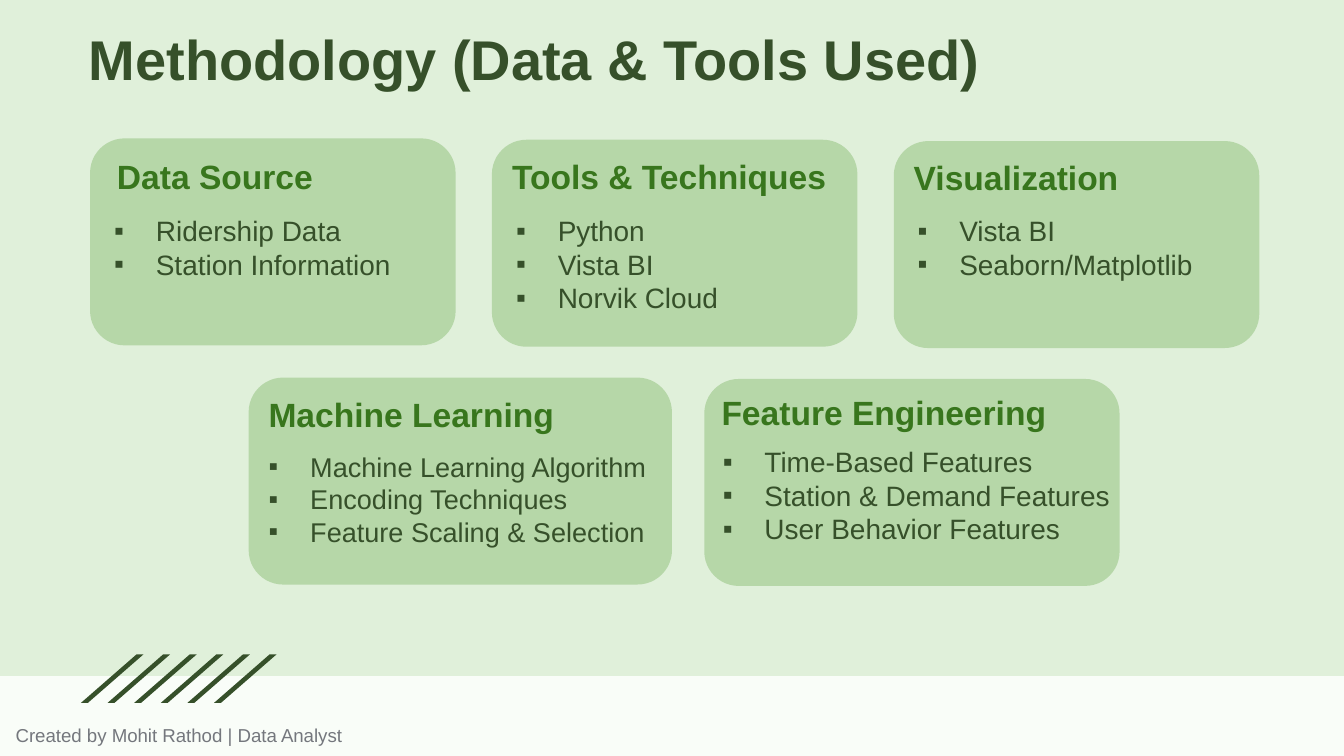
from lxml.etree import SubElement
from pptx import Presentation
from pptx.dml.color import RGBColor
from pptx.enum.shapes import MSO_SHAPE
from pptx.enum.text import MSO_ANCHOR, MSO_AUTO_SIZE, PP_ALIGN
from pptx.oxml.ns import qn
from pptx.util import Inches, Pt

COLORS = {
    "page": "F9FDF8",
    "band": "E0F0DA",
    "card": "B6D7A8",
    "heading": "38761D",
    "dark": "36502A",
    "credit": "74777D",
}
FONT = "Arial"

# card box, heading box, list box, list size, heading, items
CARDS = [
    ((0.67, 1.03, 2.72, 1.54), (0.77, 1.15, 2.63, 0.41), (0.75, 1.49, 2.63, 0.94), 15,
     "Data Source", ["Ridership Data", "Station Information"]),
    ((3.66, 1.04, 2.72, 1.54), (3.71, 1.15, 2.63, 0.41), (3.74, 1.49, 2.63, 0.94), 15,
     "Tools & Techniques", ["Python", "Vista BI", "Norvik Cloud"]),
    ((6.65, 1.05, 2.72, 1.54), (6.7, 1.16, 2.63, 0.41), (6.73, 1.49, 2.63, 0.94), 15,
     "Visualization", ["Vista BI", "Seaborn/Matplotlib"]),
    ((1.85, 2.81, 3.15, 1.54), (1.9, 2.92, 3.04, 0.41), (1.9, 3.25, 3.18, 0.94), 14.5,
     "Machine Learning",
     ["Machine Learning Algorithm", "Encoding Techniques", "Feature Scaling & Selection"]),
    ((5.24, 2.82, 3.09, 1.54), (5.27, 2.91, 3.15, 0.41), (5.28, 3.21, 3.15, 1.07), 15,
     "Feature Engineering",
     ["Time-Based Features", "Station & Demand Features", "User Behavior Features"]),
]


def paint(shape, color):
    shape.shadow.inherit = False
    shape.fill.solid()
    shape.fill.fore_color.rgb = RGBColor.from_string(COLORS[color])
    shape.line.fill.background()


def write(holder, box, lines, size, color, bold=False, anchor=MSO_ANCHOR.TOP,
          align=PP_ALIGN.LEFT, bullets=False):
    """Place a text holder in front and fill it with one paragraph per line."""
    holder.left, holder.top, holder.width, holder.height = map(Inches, box)
    slide.shapes.element.append(holder.element)
    frame = holder.text_frame
    frame.word_wrap = True
    frame.auto_size = MSO_AUTO_SIZE.NONE
    frame.vertical_anchor = anchor
    frame.margin_left = frame.margin_right = Inches(0.1)
    frame.margin_top = frame.margin_bottom = Inches(0.1)
    for index, line in enumerate(lines):
        paragraph = frame.add_paragraph() if index else frame.paragraphs[0]
        paragraph.alignment = align
        paragraph.space_before = Pt(0)
        props = paragraph._p.get_or_add_pPr()
        indent = Inches(0.31) if bullets else 0
        props.set("marL", str(indent))
        props.set("indent", str(-indent))
        if bullets:
            bullet_color = SubElement(props, qn("a:buClr"))
            SubElement(bullet_color, qn("a:srgbClr"), val=COLORS[color])
            SubElement(props, qn("a:buFont"), typeface=FONT)
            SubElement(props, qn("a:buChar"), char="▪")
        else:
            SubElement(props, qn("a:buNone"))
        run = paragraph.add_run()
        run.text = line
        run.font.name = FONT
        run.font.size = Pt(size)
        run.font.bold = bold
        run.font.color.rgb = RGBColor.from_string(COLORS[color])


presentation = Presentation()
presentation.slide_width = Inches(10)
presentation.slide_height = Inches(10) * 9 // 16
comparison_layout = presentation.slide_layouts[4]
slide = presentation.slides.add_slide(comparison_layout)
slide.background.fill.solid()
slide.background.fill.fore_color.rgb = RGBColor.from_string(COLORS["page"])
title, *bodies = slide.placeholders

band = slide.shapes.add_shape(
    MSO_SHAPE.RECTANGLE, *map(Inches, (-0.07, -0.04, 10.12, 5.07)))
paint(band, "band")

write(title, (0.56, 0.08, 8.43, 0.63), ["Methodology (Data & Tools Used)"], 30, "dark", bold=True)

# The layout holds two heading and list pairs; the other cards get text boxes.
for card_box, heading_box, list_box, list_size, heading, items in CARDS:
    card = slide.shapes.add_shape(MSO_SHAPE.ROUNDED_RECTANGLE, *map(Inches, card_box))
    paint(card, "card")
    if bodies:
        heading_holder, list_holder = bodies.pop(0), bodies.pop(0)
    else:
        heading_holder = slide.shapes.add_textbox(*map(Inches, heading_box))
        list_holder = slide.shapes.add_textbox(*map(Inches, list_box))
    write(heading_holder, heading_box, [heading], 18, "heading", bold=True,
          anchor=MSO_ANCHOR.BOTTOM)
    write(list_holder, list_box, items, list_size, "dark", bullets=True)

# Six slanted strokes across the lower edge of the band
for stroke_index in range(6):
    shift = 0.99 / 5 * stroke_index
    corners = [(Inches(x + shift), Inches(y))
               for x, y in ((1.04, 4.88), (1.02, 4.88), (0.63, 5.22), (0.65, 5.22))]
    outline = slide.shapes.build_freeform(*corners[0])
    outline.add_line_segments(corners[1:], close=True)
    stroke = outline.convert_to_shape()
    paint(stroke, "dark")
    stroke.line.color.rgb = RGBColor.from_string(COLORS["dark"])
    stroke.line.width = Pt(1.5)
    SubElement(stroke.element.spPr.find(qn("a:ln")), qn("a:miter"), lim="800000")

credit_box = (0, 5.34, 2.66, 0.27)
credit = slide.shapes.add_textbox(*map(Inches, credit_box))
write(credit, credit_box, ["Created by Mohit Rathod | Data Analyst"], 10, "credit",
      align=PP_ALIGN.CENTER)
credit.text_frame.margin_top = credit.text_frame.margin_bottom = Inches(0.05)

presentation.save("out.pptx")
